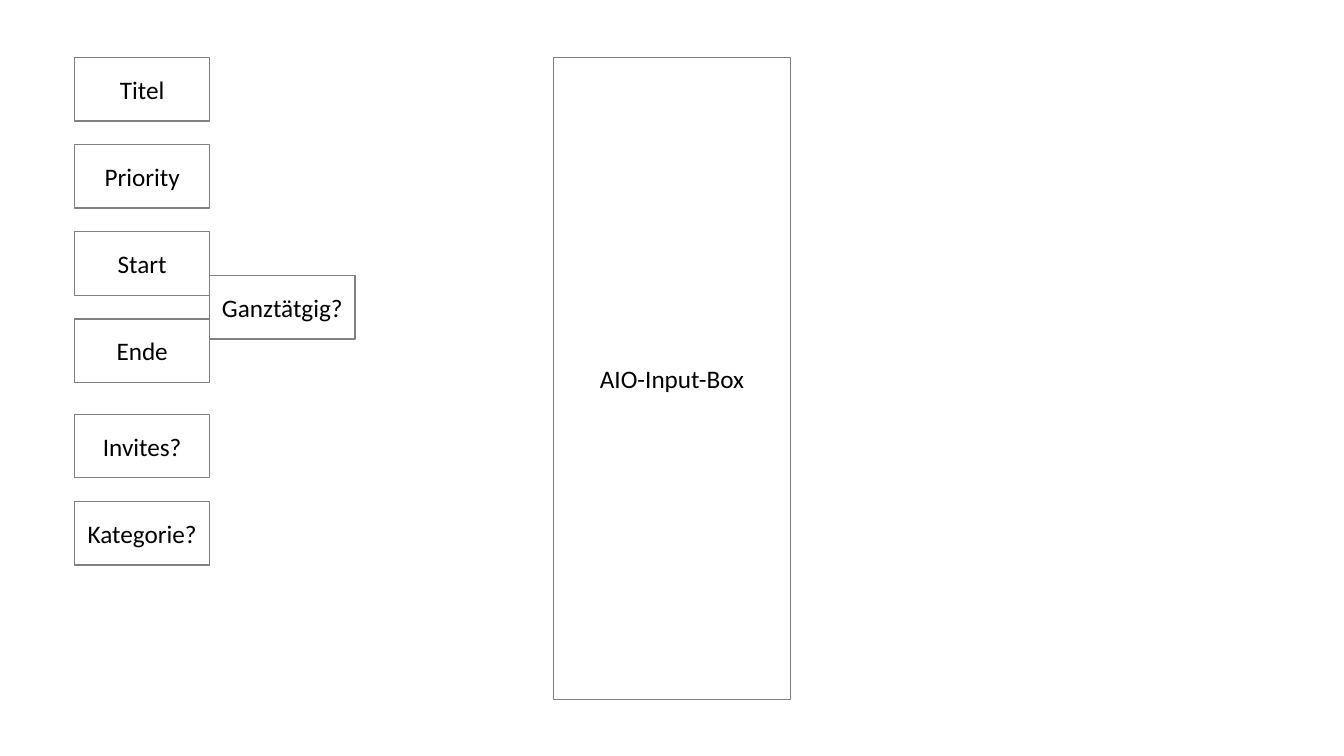
from pptx import Presentation
from pptx.dml.color import RGBColor
from pptx.enum import shapes, text
from pptx.util import Inches, Pt

TOP = 0.57
FIELD_LEFT = 0.74
FIELD_WIDTH = 1.34
FIELD_HEIGHT = 0.63
FIELD_STEP = 0.865
FIELD_GROUPS = [
    (TOP, ["Titel", "Priority", "Start", "Ende"]),
    (4.11, ["Invites?", "Kategorie?"]),
]


def paint(color, value):
    color.rgb = RGBColor.from_string(value)


def add_box(page, label, left, top, width, height=FIELD_HEIGHT):
    box = page.shapes.add_shape(
        shapes.MSO_SHAPE.RECTANGLE,
        Inches(left), Inches(top), Inches(width), Inches(height),
    )
    box.shadow.inherit = False
    box.fill.solid()
    paint(box.fill.fore_color, "FFFFFF")
    paint(box.line.color, "808080")
    box.line.width = Pt(1)
    frame = box.text_frame
    frame.word_wrap = True
    frame.vertical_anchor = text.MSO_ANCHOR.MIDDLE
    para = frame.paragraphs[0]
    para.alignment = text.PP_ALIGN.CENTER
    span = para.add_run()
    span.text = label
    span.font.name = "Calibri"
    span.font.size = Pt(18)
    paint(span.font.color, "000000")


def add_fields(page, top, labels):
    for row, label in enumerate(labels):
        add_box(page, label, FIELD_LEFT, top + row * FIELD_STEP, FIELD_WIDTH)


def main():
    deck = Presentation()
    deck.slide_width = Inches(13.33)
    deck.slide_height = Inches(7.5)
    page = deck.slides.add_slide(deck.slide_layouts[6])
    add_box(page, "AIO-Input-Box", 5.49, TOP, 2.35, 6.37)
    for top, labels in FIELD_GROUPS:
        add_fields(page, top, labels)
    all_day_top = TOP + 2.5 * FIELD_STEP
    add_box(page, "Ganztätgig?", FIELD_LEFT + FIELD_WIDTH, all_day_top, 1.44)
    deck.save("out.pptx")


main()
